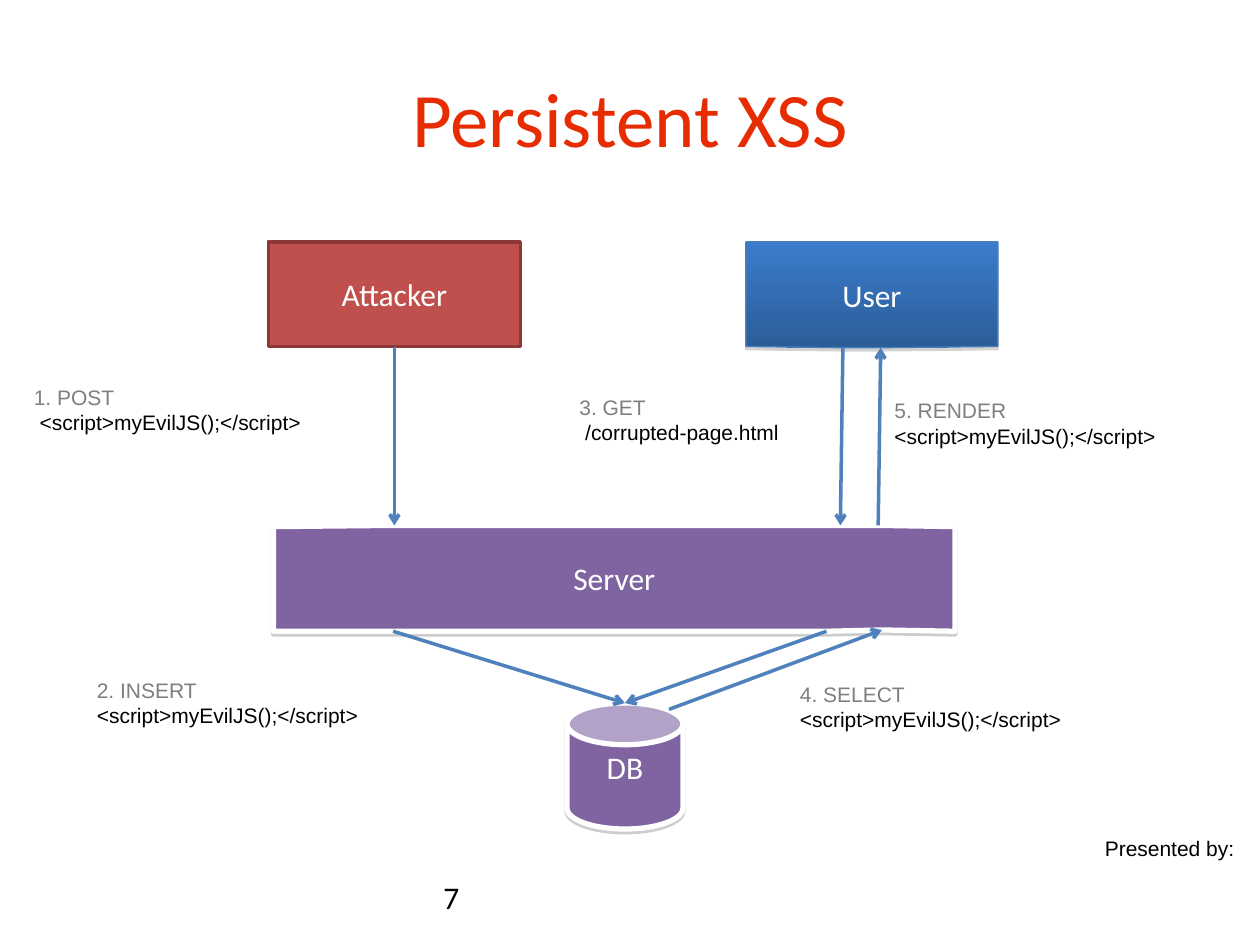
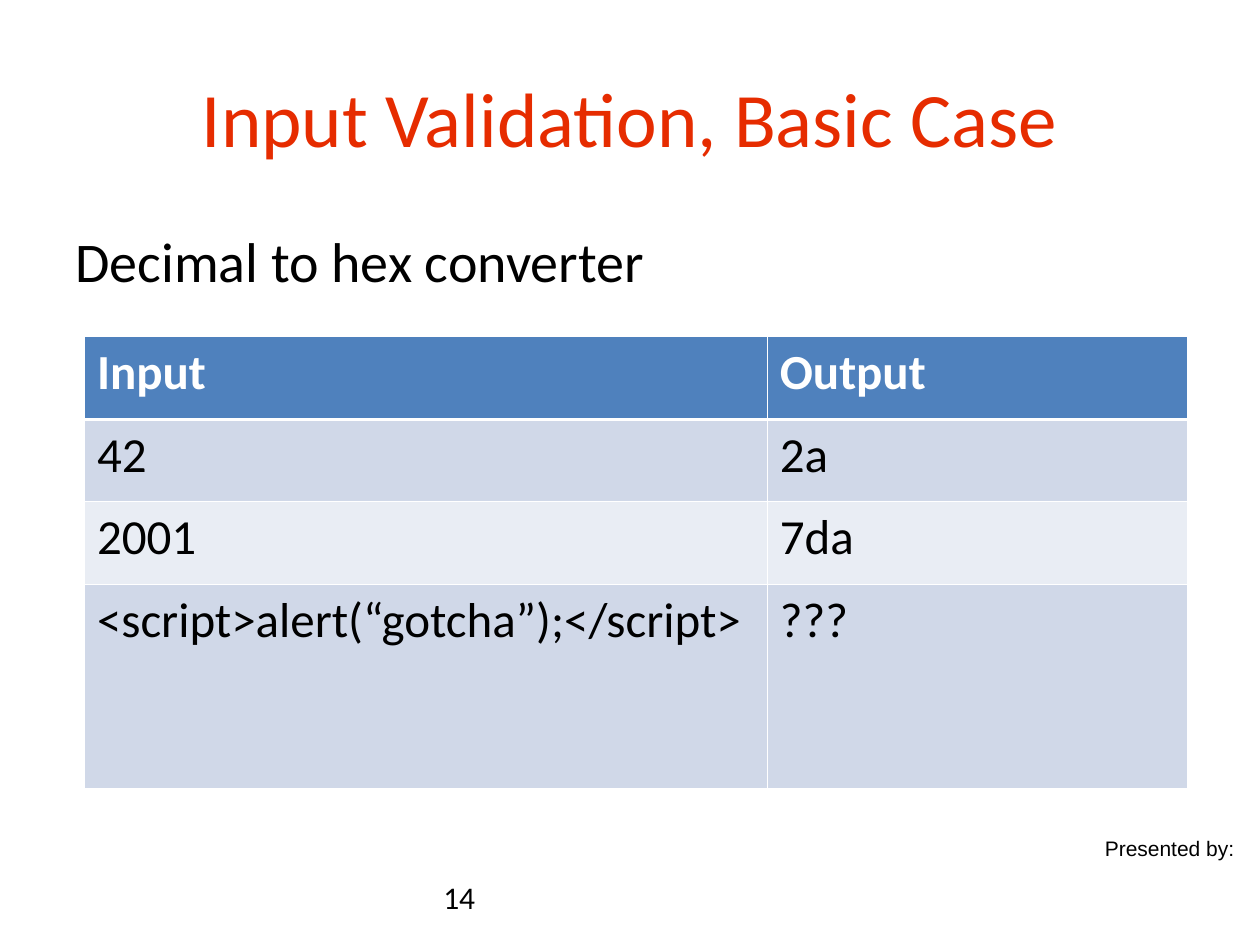
from dataclasses import dataclass
from typing import Any, NamedTuple, Optional

import lxml.etree
import pptx
import pptx.dml.color
import pptx.enum.shapes
import pptx.enum.text
import pptx.oxml.ns
import pptx.util

Inches = pptx.util.Inches
RGBColor = pptx.dml.color.RGBColor
PresetShape = pptx.enum.shapes.MSO_SHAPE
Align = pptx.enum.text.PP_ALIGN
Anchor = pptx.enum.text.MSO_ANCHOR

BLACK = RGBColor(0x00, 0x00, 0x00)
WHITE = RGBColor(0xFF, 0xFF, 0xFF)
GRAY = RGBColor(0x7F, 0x7F, 0x7F)
TITLE_RED = RGBColor(0xE6, 0x2C, 0x00)
ATTACKER_RED = RGBColor(0xC0, 0x50, 0x4D)
ATTACKER_EDGE = RGBColor(0x8C, 0x38, 0x36)
USER_TOP = RGBColor(0x3A, 0x7C, 0xCB)
USER_BOTTOM = RGBColor(0x2C, 0x5D, 0x98)
USER_EDGE = RGBColor(0x4A, 0x7E, 0xBB)
PURPLE = RGBColor(0x80, 0x64, 0xA2)
BLUE = RGBColor(0x4F, 0x81, 0xBD)
BAND_DARK = RGBColor(0xD0, 0xD8, 0xE8)
BAND_LIGHT = RGBColor(0xE9, 0xED, 0xF4)
SHADOW = RGBColor(0x80, 0x80, 0x80)

Format = dict[str, Any]
Point = tuple[float, float]


def text_format(name: str, size: float, color: RGBColor, bold: bool = False) -> Format:
    return {"name": name, "size": pptx.util.Pt(size), "bold": bold, "color": color}


TITLE = text_format("Calibri", 44, TITLE_RED)
BODY = text_format("Calibri", 32, BLACK)
NUMBER = text_format("Calibri", 18, BLACK)
NODE = text_format("Calibri", 18, WHITE)
FOOTER = text_format("Arial", 12, BLACK)
STEP = text_format("Arial", 12, GRAY)
HEADER_CELL = text_format("Calibri", 28, WHITE, True)
BODY_CELL = text_format("Calibri", 28, BLACK)


class Box(NamedTuple):
    left: float
    top: float
    width: float
    height: float


class Line(NamedTuple):
    text: str
    style: Format


class Arrow(NamedTuple):
    start: Point
    end: Point


class StepLabel(NamedTuple):
    box: Box
    action: str
    payload: str


@dataclass
class Node:
    text: str
    fills: tuple[RGBColor, ...]
    edge: RGBColor
    edge_width: float
    box: Optional[Box] = None
    preset: Optional[Any] = None
    outline: tuple[Point, ...] = ()
    shadow_alpha: int = 0
    shadow_distance: float = 0


NODES = (
    Node("DB", (PURPLE,), WHITE, 3, box=Box(4.5, 5.58, 0.92, 1), preset=PresetShape.CAN,
         shadow_alpha=38, shadow_distance=1.6),
    Node("Attacker", (ATTACKER_RED,), ATTACKER_EDGE, 2, box=Box(2.13, 1.92, 2, 0.83),
         preset=PresetShape.FLOWCHART_PROCESS),
    Node("User", (USER_TOP, USER_BOTTOM), USER_EDGE, 0.75,
         outline=((5.92, 1.92), (7.92, 1.92), (7.92, 2.75), (6.99, 2.76),
                  (6.69, 2.76), (5.92, 2.75)),
         shadow_alpha=35, shadow_distance=1.8),
    Node("Server", (PURPLE,), WHITE, 3,
         outline=((2.17, 4.18), (3.13, 4.17), (6.97, 4.17), (7.58, 4.18), (7.58, 5.01),
                  (7, 5), (6.56, 5.01), (2.17, 5.01)),
         shadow_alpha=38, shadow_distance=1.6),
)

DB_TOP = (4.96, 5.58)
ARROWS = (
    Arrow((3.13, 2.75), (3.13, 4.17)),
    Arrow((6.69, 2.76), (6.67, 4.17)),
    Arrow((3.12, 5.01), DB_TOP),
    Arrow((6.56, 5.01), DB_TOP),
    Arrow((5.31, 5.63), (7, 5)),
    Arrow((6.97, 4.17), (6.99, 2.76)),
)

EVIL_SCRIPT = "<script>myEvilJS();</script>"
STEP_LABELS = (
    StepLabel(Box(0.17, 3, 2.92, 0.5), "1. POST", " " + EVIL_SCRIPT),
    StepLabel(Box(0.67, 5.33, 3.08, 0.5), "2. INSERT", EVIL_SCRIPT),
    StepLabel(Box(4.5, 3.08, 2.08, 0.5), "3. GET", " /corrupted-page.html"),
    StepLabel(Box(6.25, 5.36, 3.08, 0.5), "4. SELECT", EVIL_SCRIPT),
    StepLabel(Box(7, 3.11, 3.08, 0.5), "5. RENDER", EVIL_SCRIPT),
)

CONVERSIONS = (
    ("Input", "Output"),
    ("42", "2a"),
    ("2001", "7da"),
    ("<script>alert(“gotcha”);</script>", "???"),
)
COLUMN_WIDTHS = (5.42, 3.33)
ROW_HEIGHTS = (0.66, 0.65, 0.66, 1.62)


def add_element(parent: Any, tag: str, **attributes: str) -> Any:
    element = lxml.etree.SubElement(parent, pptx.oxml.ns.qn(tag))
    for key, value in attributes.items():
        element.set(key, value)
    return element


def apply_format(font: Any, style: Format) -> None:
    for key, value in style.items():
        if key == "color":
            font.color.rgb = value
        else:
            setattr(font, key, value)


def write_lines(frame: Any, lines: tuple[Line, ...], align: Any = Align.LEFT,
                anchor: Any = Anchor.TOP) -> None:
    frame.word_wrap = True
    frame.vertical_anchor = anchor
    for index, line in enumerate(lines):
        paragraph = frame.add_paragraph() if index else frame.paragraphs[0]
        paragraph.alignment = align
        run = paragraph.add_run()
        run.text = line.text
        apply_format(run.font, line.style)


def add_text(slide: Any, box: Box, *lines: Line, align: Any = Align.LEFT,
             anchor: Any = Anchor.TOP) -> None:
    shape = slide.shapes.add_textbox(*map(Inches, box))
    write_lines(shape.text_frame, lines, align, anchor)


def add_base_slide(presentation: Any, title: str, number: int) -> Any:
    slide = presentation.slides.add_slide(presentation.slide_layouts[6])
    add_text(slide, Box(8.67, 6.58, 1.25, 0.3), Line("Presented by:", FOOTER))
    add_text(slide, Box(0.5, 0.3, 9, 1.25), Line(title, TITLE),
             align=Align.CENTER, anchor=Anchor.MIDDLE)
    add_text(slide, Box(3.42, 6.92, 2.33, 0.4), Line(str(number), NUMBER))
    return slide


def add_shadow(shape: Any, alpha: int, distance: float) -> None:
    shape.shadow.inherit = False
    if alpha:
        effects = shape._element.spPr.find(pptx.oxml.ns.qn("a:effectLst"))
        outer = add_element(effects, "a:outerShdw", blurRad="0", dir="5400000",
                            dist=str(int(pptx.util.Pt(distance))), rotWithShape="0")
        color = add_element(outer, "a:srgbClr", val=str(SHADOW))
        add_element(color, "a:alpha", val=str(alpha * 1000))


def add_node(slide: Any, node: Node) -> None:
    if node.outline:
        points = [(Inches(x), Inches(y)) for x, y in node.outline]
        builder = slide.shapes.build_freeform(*points[0])
        builder.add_line_segments(points[1:], close=True)
        shape = builder.convert_to_shape()
    else:
        shape = slide.shapes.add_shape(node.preset, *map(Inches, node.box))
    if len(node.fills) > 1:
        shape.fill.gradient()
        shape.fill.gradient_angle = 270
        for stop, color in zip(shape.fill.gradient_stops, node.fills):
            stop.color.rgb = color
    else:
        shape.fill.solid()
        shape.fill.fore_color.rgb = node.fills[0]
    shape.line.color.rgb = node.edge
    shape.line.width = pptx.util.Pt(node.edge_width)
    add_shadow(shape, node.shadow_alpha, node.shadow_distance)
    if node.preset == PresetShape.CAN:
        shape.adjustments[0] = 0.36
        shape.text_frame.margin_top = 0
        shape.text_frame.margin_bottom = Inches(0.15)
    write_lines(shape.text_frame, (Line(node.text, NODE),), Align.CENTER, Anchor.MIDDLE)


def add_arrow(slide: Any, arrow: Arrow) -> None:
    connector = slide.shapes.add_connector(
        pptx.enum.shapes.MSO_CONNECTOR.STRAIGHT, *map(Inches, arrow.start + arrow.end))
    connector.line.color.rgb = BLUE
    connector.line.width = pptx.util.Pt(2)
    add_element(connector.line._get_or_add_ln(), "a:tailEnd", type="arrow")
    add_element(connector._element.spPr, "a:effectLst")


def add_cell_borders(cell: Any, row: int) -> None:
    properties = cell._tc.get_or_add_tcPr()
    heavy_side = {0: "B", 1: "T"}.get(row)
    for index, side in enumerate("LRTB"):
        width = 1.47 if side == heavy_side else 0.45
        border = add_element(properties, f"a:ln{side}", w=str(int(pptx.util.Pt(width))))
        add_element(add_element(border, "a:solidFill"), "a:srgbClr", val=str(WHITE))
        properties.insert(index, border)


def add_conversion_table(slide: Any) -> None:
    box = Box(0.67, 2.67, sum(COLUMN_WIDTHS), sum(ROW_HEIGHTS))
    table = slide.shapes.add_table(
        len(ROW_HEIGHTS), len(COLUMN_WIDTHS), *map(Inches, box)).table
    for column, width in zip(table.columns, COLUMN_WIDTHS):
        column.width = Inches(width)
    for row, height in enumerate(ROW_HEIGHTS):
        table.rows[row].height = Inches(height)
        band = BAND_DARK if row % 2 else BAND_LIGHT
        for column, text in enumerate(CONVERSIONS[row]):
            cell = table.cell(row, column)
            cell.fill.solid()
            cell.fill.fore_color.rgb = band if row else BLUE
            add_cell_borders(cell, row)
            write_lines(cell.text_frame, (Line(text, BODY_CELL if row else HEADER_CELL),))


def build_persistent_xss(presentation: Any) -> None:
    slide = add_base_slide(presentation, "Persistent XSS", 7)
    for node in NODES:
        add_node(slide, node)
    for arrow in ARROWS:
        add_arrow(slide, arrow)
    for label in STEP_LABELS:
        add_text(slide, label.box, Line(label.action, STEP), Line(label.payload, FOOTER))


def build_input_validation(presentation: Any) -> None:
    slide = add_base_slide(presentation, "Input Validation, Basic Case", 14)
    add_text(slide, Box(0.5, 1.75, 9, 4.95), Line("Decimal to hex converter", BODY))
    add_conversion_table(slide)


def main() -> None:
    presentation = pptx.Presentation()
    presentation.slide_width = Inches(10)
    presentation.slide_height = Inches(7.5)
    build_persistent_xss(presentation)
    build_input_validation(presentation)
    presentation.save("out.pptx")


if __name__ == "__main__":
    main()
